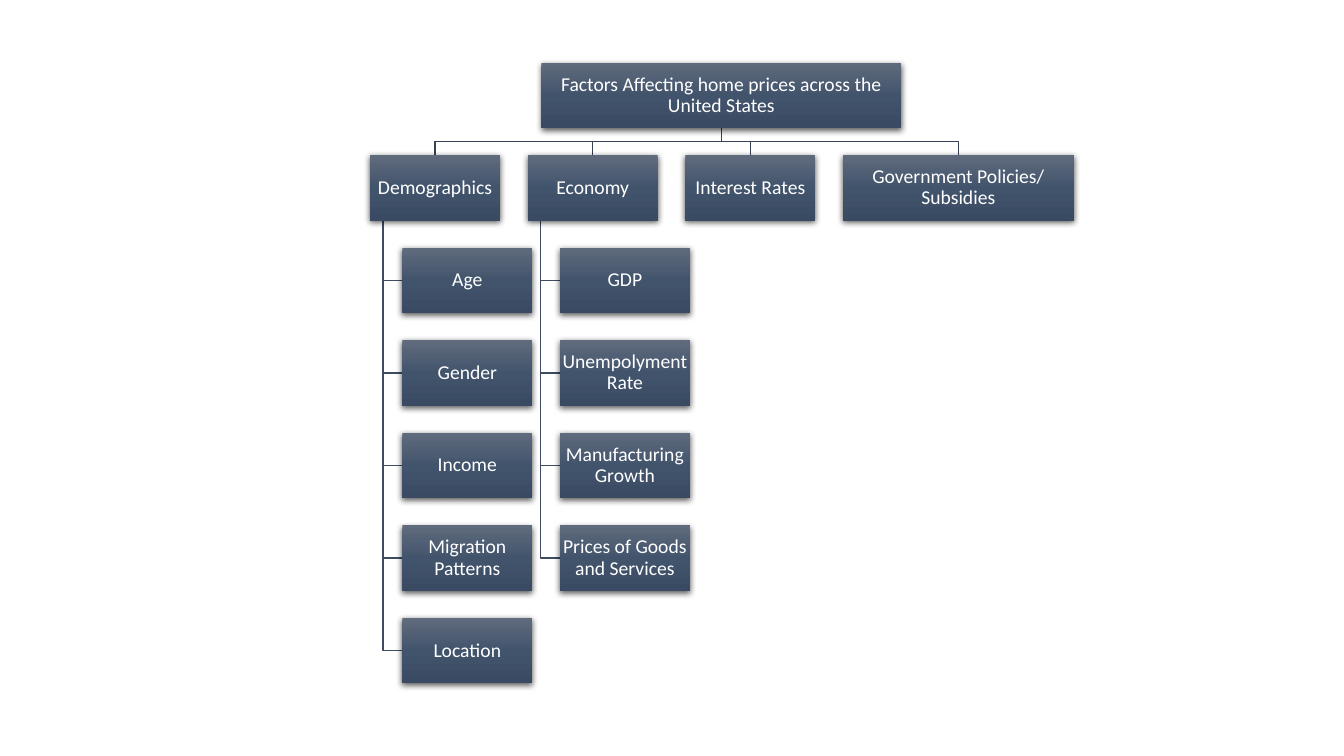
from pptx import Presentation
from pptx.dml.color import RGBColor
from pptx.enum.shapes import MSO_SHAPE
from pptx.enum.text import MSO_ANCHOR, PP_ALIGN
from pptx.oxml import parse_xml
from pptx.oxml.ns import nsdecls
from pptx.util import Inches, Pt

THEME = {
    "font": "Calibri", "size": Pt(14), "text": RGBColor.from_string("FFFFFF"),
    "fade": [(0, "606B7D"), (50, "42546C"), (100, "394A62")],
    "trunk": "364355", "twig": "3E4C60", "line": Pt(1), "shade": "000000",
}

# Grid: rows and columns of boxes, in inches
TOP, ROW, HIGH = 0.62, 5.51 / 6, 0.65
LEFT, COL, WIDE = 3.67, 4.69 / 3, 1.29
DENT = 0.32          # indent of the lower boxes
SPINE = WIDE / 10    # where a branch leaves its box

ROOT = "Factors Affecting home prices across the United States"
ROOT_X, ROOT_W = 5.37, 3.57
GROUPS = [
    ("Demographics", WIDE,
     ["Age", "Gender", "Income", "Migration Patterns", "Location"]),
    ("Economy", WIDE,
     ["GDP", "Unempolyment Rate", "Manufacturing Growth",
      "Prices of Goods and Services"]),
    ("Interest Rates", WIDE, []),
    ("Government Policies/ Subsidies", 2.29, []),
]

deck = Presentation()
deck.slide_width, deck.slide_height = Inches(13.33), Inches(7.5)
slide = deck.slides.add_slide(deck.slide_layouts[6])


def add_path(points, color):
    dots = [(Inches(x), Inches(y)) for x, y in points]
    pen = slide.shapes.build_freeform(*dots[0])
    pen.add_line_segments(dots[1:], close=False)
    path = pen.convert_to_shape()
    path.shadow.inherit = False
    path.fill.background()
    path.line.color.rgb = RGBColor.from_string(color)
    path.line.width = THEME["line"]


def add_box(text, x, y, wide):
    box = slide.shapes.add_shape(
        MSO_SHAPE.RECTANGLE, Inches(x), Inches(y), Inches(wide), Inches(HIGH))
    # Gradient, no outline, soft shadow below
    stops = "".join(
        f'<a:gs pos="{at * 1000}"><a:srgbClr val="{color}"/></a:gs>'
        for at, color in THEME["fade"])
    ns = nsdecls("a")
    for part in (
        f'<a:gradFill {ns} rotWithShape="1"><a:gsLst>{stops}</a:gsLst>'
        '<a:lin ang="5400000" scaled="0"/></a:gradFill>',
        f'<a:ln {ns}><a:noFill/></a:ln>',
        f'<a:effectLst {ns}><a:outerShdw blurRad="{Pt(4.5)}" '
        f'dist="{Pt(1.5)}" dir="5400000" algn="ctr" rotWithShape="0">'
        f'<a:srgbClr val="{THEME["shade"]}"><a:alpha val="63000"/></a:srgbClr>'
        '</a:outerShdw></a:effectLst>',
    ):
        box.element.spPr.append(parse_xml(part))
    # Label
    frame = box.text_frame
    frame.text = text
    frame.word_wrap = True
    frame.vertical_anchor = MSO_ANCHOR.MIDDLE
    frame.margin_left = frame.margin_right = Inches(0.01)
    frame.margin_top = frame.margin_bottom = Inches(0.01)
    line = frame.paragraphs[0]
    line.alignment = PP_ALIGN.CENTER
    line.line_spacing = 0.9
    font = line.runs[0].font
    font.name, font.size = THEME["font"], THEME["size"]
    font.color.rgb = THEME["text"]


# Lines, behind the boxes
mid = ROOT_X + ROOT_W / 2
head = TOP + ROW
bend = (TOP + HIGH + head) / 2
for col, (name, wide, items) in enumerate(GROUPS):
    x = LEFT + col * COL
    stem = x + wide / 2
    add_path([(mid, TOP + HIGH), (mid, bend), (stem, bend), (stem, head)],
             THEME["trunk"])
    for row in range(len(items)):
        y = TOP + (row + 2) * ROW + HIGH / 2
        add_path([(x + SPINE, head + HIGH), (x + SPINE, y), (x + DENT, y)],
                 THEME["twig"])

# Boxes
add_box(ROOT, ROOT_X, TOP, ROOT_W)
for col, (name, wide, items) in enumerate(GROUPS):
    x = LEFT + col * COL
    add_box(name, x, head, wide)
    for row, item in enumerate(items):
        add_box(item, x + DENT, TOP + (row + 2) * ROW, WIDE)

deck.save("out.pptx")
